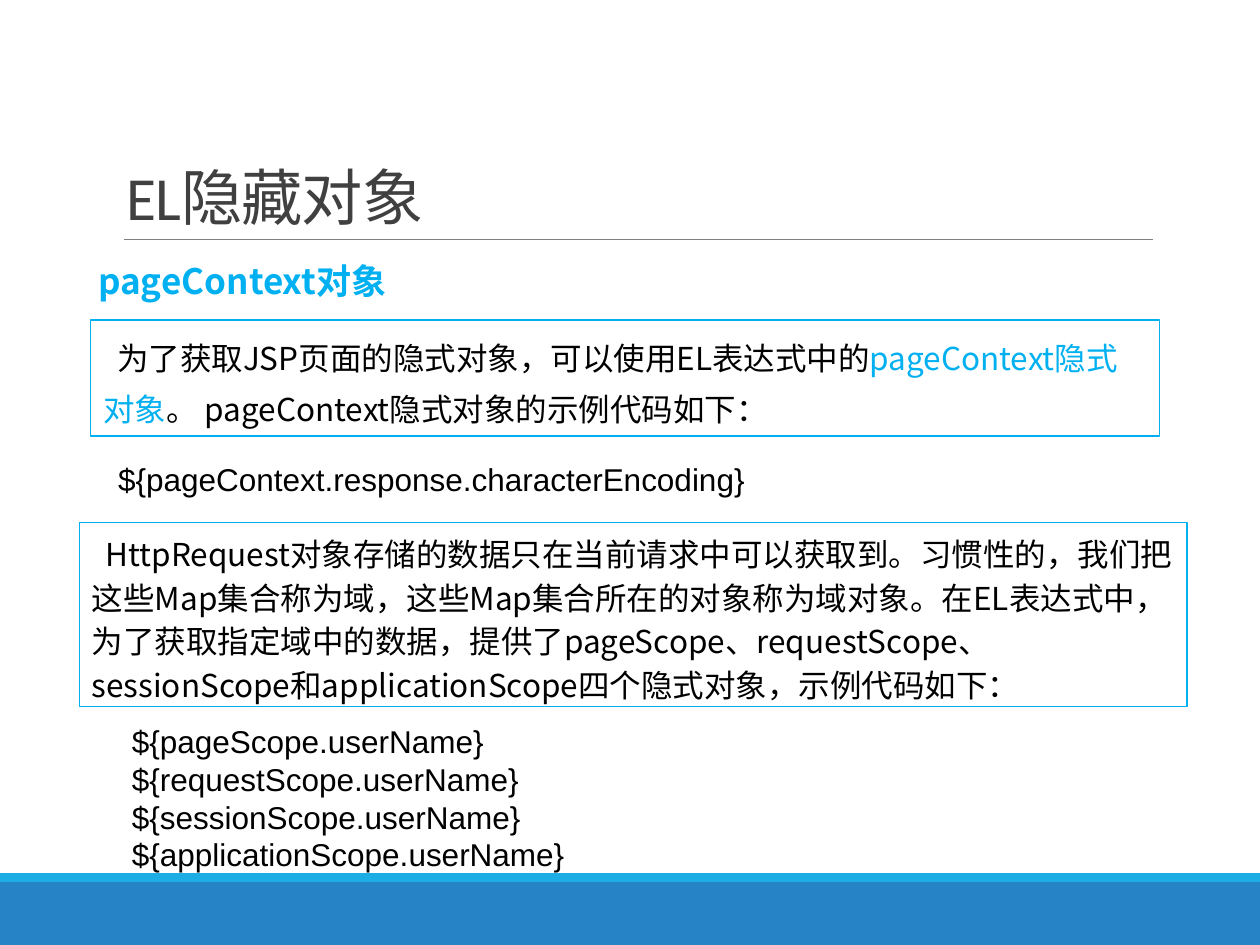
from lxml.etree import SubElement
from pptx import Presentation
from pptx.dml.color import RGBColor
from pptx.enum.shapes import MSO_CONNECTOR, MSO_SHAPE
from pptx.enum.text import MSO_ANCHOR, MSO_AUTO_SIZE, PP_ALIGN
from pptx.oxml.ns import qn
from pptx.util import Cm, Pt

THEME = {
    "paper": "FFFFFF", "bar": "2683C6", "stripe": "1CADE4", "rule": "808080",
    "title": "404040", "accent": "00B0F0", "text": "000000",
    "cjk": "Noto Sans CJK SC", "title_font": "Calibri", "code_font": "Arial",
    "title_size": 35, "head_size": 20, "body_size": 18,
}

# Content: each paragraph is a list of (text, colour name)
TITLE = [[("EL隐藏对象", "title")]]
HEADING = [[("pageContext对象", "accent")]]
CONTEXT = [[
    ("为了获取JSP页面的隐式对象，可以使用EL表达式中的", "text"),
    ("pageContext隐式对象", "accent"),
    ("。 pageContext隐式对象的示例代码如下：", "text"),
]]
CONTEXT_CODE = [[("${pageContext.response.characterEncoding}", "text")]]
SCOPE = [[(
    "HttpRequest对象存储的数据只在当前请求中可以获取到。习惯性的，"
    "我们把这些Map集合称为域，这些Map集合所在的对象称为域对象。"
    "在EL表达式中，为了获取指定域中的数据，提供了pageScope、requestScope、"
    "sessionScope和applicationScope四个隐式对象，示例代码如下：", "text")]]
SCOPE_CODE = [[("${%s.userName}" % scope, "text")] for scope in
              ("pageScope", "requestScope", "sessionScope", "applicationScope")]

# Places in cm: left, top, width, height
BARS = [("bar", (0, 17.78, 25.4, 1.27)), ("stripe", (0, 17.6, 25.4, 0.18))]
RULE = (2.49, 4.83, 23.24, 4.83)
TITLE_AT = (2.29, 0.79, 20.96, 4.04)
HEADING_AT = (1.73, 5.11, 6.55, 1.12)
NOTES = [
    (CONTEXT, (1.83, 6.45, 21.54, 2.34), 1.35),
    (SCOPE, (1.6, 10.54, 22.33, 3.71), Pt(25)),
]
CODES = [
    (CONTEXT_CODE, (2.13, 9.14, 13.69, 1.02)),
    (SCOPE_CODE, (2.41, 14.43, 13.69, 3.33)),
]
FIRST_LINE = Cm(0.28)


def color(name):
    return RGBColor.from_string(THEME[name])


def cm(values):
    return [Cm(v) for v in values]


def write(shape, paragraphs, font, size, bold=False, spacing=None,
          wrap=True, anchor=MSO_ANCHOR.TOP, indent=0, tracking=None):
    tf = shape.text_frame
    frame = {"word_wrap": wrap, "auto_size": MSO_AUTO_SIZE.NONE,
             "vertical_anchor": anchor}
    for key, value in frame.items():
        setattr(tf, key, value)
    for i, runs in enumerate(paragraphs):
        p = tf.add_paragraph() if i else tf.paragraphs[0]
        p.alignment = PP_ALIGN.LEFT
        if spacing:
            p.line_spacing = spacing
        if indent:
            p._p.get_or_add_pPr().set("indent", str(indent))
        for text, tone in runs:
            r = p.add_run()
            r.text = text
            form = {"name": THEME[font], "size": Pt(THEME[size]), "bold": bold}
            for key, value in form.items():
                setattr(r.font, key, value)
            r.font.color.rgb = color(tone)
            rpr = r._r.get_or_add_rPr()
            SubElement(rpr, qn("a:ea")).set("typeface", THEME["cjk"])
            if tracking:
                rpr.set("spc", str(tracking))


def add_rect(s, at, fill, line=None):
    sp = s.shapes.add_shape(MSO_SHAPE.RECTANGLE, *cm(at))
    sp.shadow.inherit = False
    sp.fill.solid()
    sp.fill.fore_color.rgb = color(fill)
    if line:
        sp.line.color.rgb = color(line)
        sp.line.width = Pt(0.75)
    else:
        sp.line.fill.background()
    return sp


def main():
    prs = Presentation()
    prs.slide_width, prs.slide_height = Cm(25.4), Cm(19.05)
    s = prs.slides.add_slide(prs.slide_layouts[5])
    s.background.fill.solid()
    s.background.fill.fore_color.rgb = color("paper")

    # Footer bars and title rule
    for fill, at in BARS:
        add_rect(s, at, fill)
    rule = s.shapes.add_connector(MSO_CONNECTOR.STRAIGHT, *cm(RULE))
    rule.line.color.rgb = color("rule")
    rule.line.width = Pt(0.5)
    SubElement(rule._element.spPr, qn("a:effectLst"))

    # Title and heading
    title = s.shapes.title
    title.left, title.top, title.width, title.height = cm(TITLE_AT)
    write(title, TITLE, "title_font", "title_size", spacing=0.85,
          anchor=MSO_ANCHOR.BOTTOM, tracking=-50)
    write(s.shapes.add_textbox(*cm(HEADING_AT)), HEADING, "cjk", "head_size",
          bold=True, wrap=False)

    # Framed explanations
    for paragraphs, at, spacing in NOTES:
        write(add_rect(s, at, "paper", "accent"), paragraphs, "cjk",
              "body_size", spacing=spacing, indent=FIRST_LINE)

    # Code samples
    for paragraphs, at in CODES:
        write(s.shapes.add_textbox(*cm(at)), paragraphs, "code_font", "body_size")

    prs.save("out.pptx")


if __name__ == "__main__":
    main()
